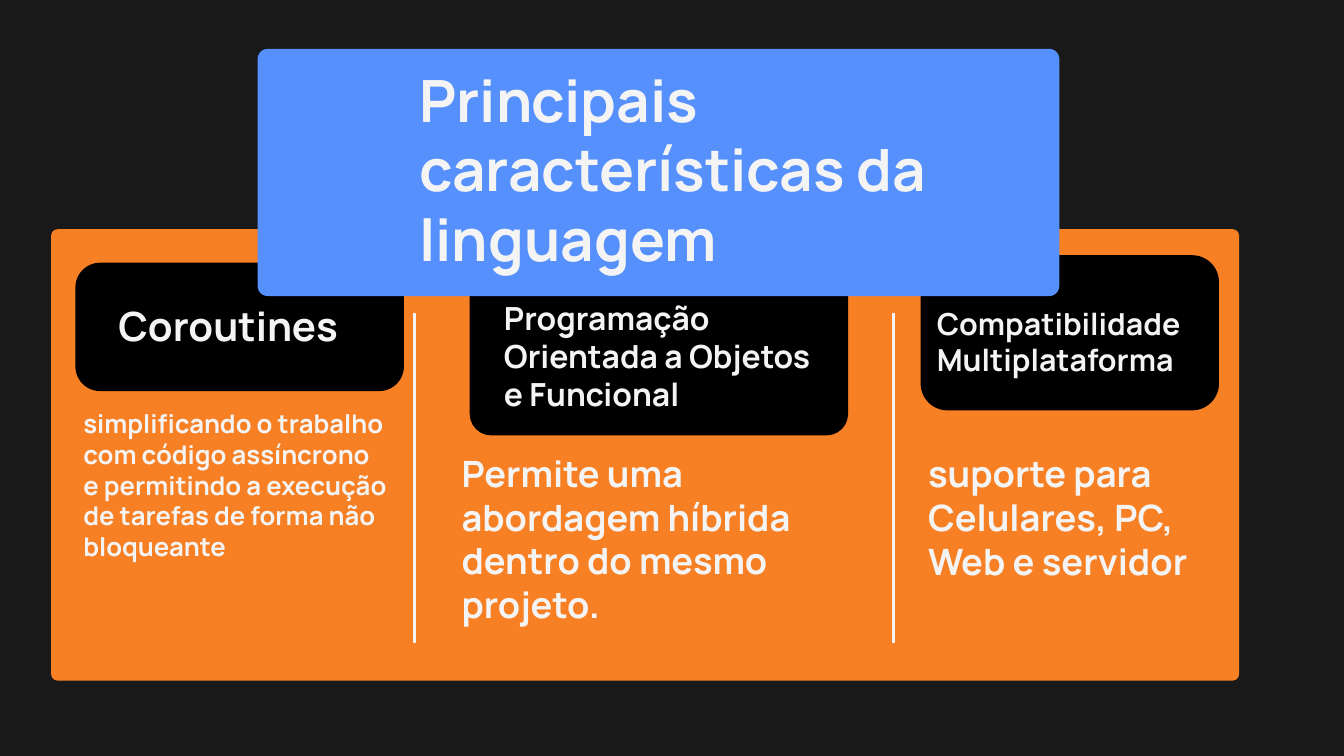
from lxml.etree import SubElement
from pptx import Presentation
from pptx.dml.color import RGBColor
from pptx.enum.shapes import MSO_CONNECTOR as Link, MSO_SHAPE as Form
from pptx.enum.text import MSO_ANCHOR as Anchor, MSO_AUTO_SIZE as Fit, PP_ALIGN as Align
from pptx.oxml.ns import qn
from pptx.util import Pt

DARK = RGBColor(0x19, 0x19, 0x19)
BLACK = RGBColor(0, 0, 0)
ORANGE = RGBColor(0xF7, 0x80, 0x25)
BLUE = RGBColor(0x55, 0x90, 0xFD)
WHITE = RGBColor(0xF4, 0xF4, 0xF4)

deck = Presentation()
deck.slide_width, deck.slide_height = Pt(1440), Pt(810)
slide = deck.slides.add_slide(deck.slide_layouts[5])
slide.background.fill.solid()
slide.background.fill.fore_color.rgb = DARK
shapes = slide.shapes


def add_card(left, top, width, height, radius, color):
    card = shapes.add_shape(Form.ROUNDED_RECTANGLE, Pt(left), Pt(top), Pt(width), Pt(height))
    card.adjustments[0] = radius / min(width, height)
    card.fill.solid()
    card.fill.fore_color.rgb = color
    card.line.fill.background()
    card.shadow.inherit = False


def set_text(box, text, size, pitch):
    frame = box.text_frame
    frame.text = text
    frame.word_wrap = True
    frame.auto_size = Fit.NONE
    frame.vertical_anchor = Anchor.TOP
    frame.margin_left = frame.margin_right = frame.margin_top = frame.margin_bottom = 0
    para = frame.paragraphs[0]
    para.alignment = Align.LEFT
    para.line_spacing = Pt(pitch)
    para.font.name = "Manrope"
    para.font.size = Pt(size)
    para.font.bold = True
    para.font.color.rgb = WHITE


cards = [
    (54.7, 245.5, 1273, 483.8, 7.2, ORANGE),
    (80.8, 281.5, 352, 137.5, 26.5, BLACK),
    (503.3, 245.5, 405.4, 221, 23, BLACK),
    (986.4, 273.4, 319.7, 166.3, 28.8, BLACK),
    (276, 52.4, 859, 264.8, 10.8, BLUE),
]
for card in cards:
    add_card(*card)

for x in (444, 957.6):
    rule = shapes.add_connector(Link.STRAIGHT, Pt(x), Pt(689), Pt(x), Pt(335.5))
    rule.line.color.rgb = WHITE
    rule.line.width = Pt(3)
    SubElement(rule.element.spPr, qn("a:effectLst"))

title = shapes.title
title.left, title.top, title.width, title.height = Pt(449.3), Pt(68.4), Pt(584), Pt(229)
set_text(title, "Principais características da linguagem", 62.4, 74.9)
title.element.getparent().append(title.element)

texts = [
    (126.7, 322.6, 251.3, 54, "Coroutines", 43.1, 51.7),
    (89.3, 437, 326.2, 230.4,
     "simplificando o trabalho com código assíncrono e permitindo a execução "
     "de tarefas de forma não bloqueante", 27.5, 33),
    (540, 319.7, 352, 126, "Programação Orientada a Objetos e Funcional", 34.1, 41),
    (494.6, 483.8, 422.6, 231,
     "Permite uma abordagem híbrida dentro do mesmo projeto.", 38.8, 46.6),
    (1003.7, 326.9, 298.8, 78.5, "Compatibilidade Multiplataforma", 32.5, 39),
    (994.3, 483.8, 308.2, 140.4, "suporte para Celulares, PC, Web e servidor", 38.9, 46.7),
]
for left, top, width, height, text, size, pitch in texts:
    box = shapes.add_textbox(Pt(left), Pt(top), Pt(width), Pt(height))
    set_text(box, text, size, pitch)

deck.save("out.pptx")
